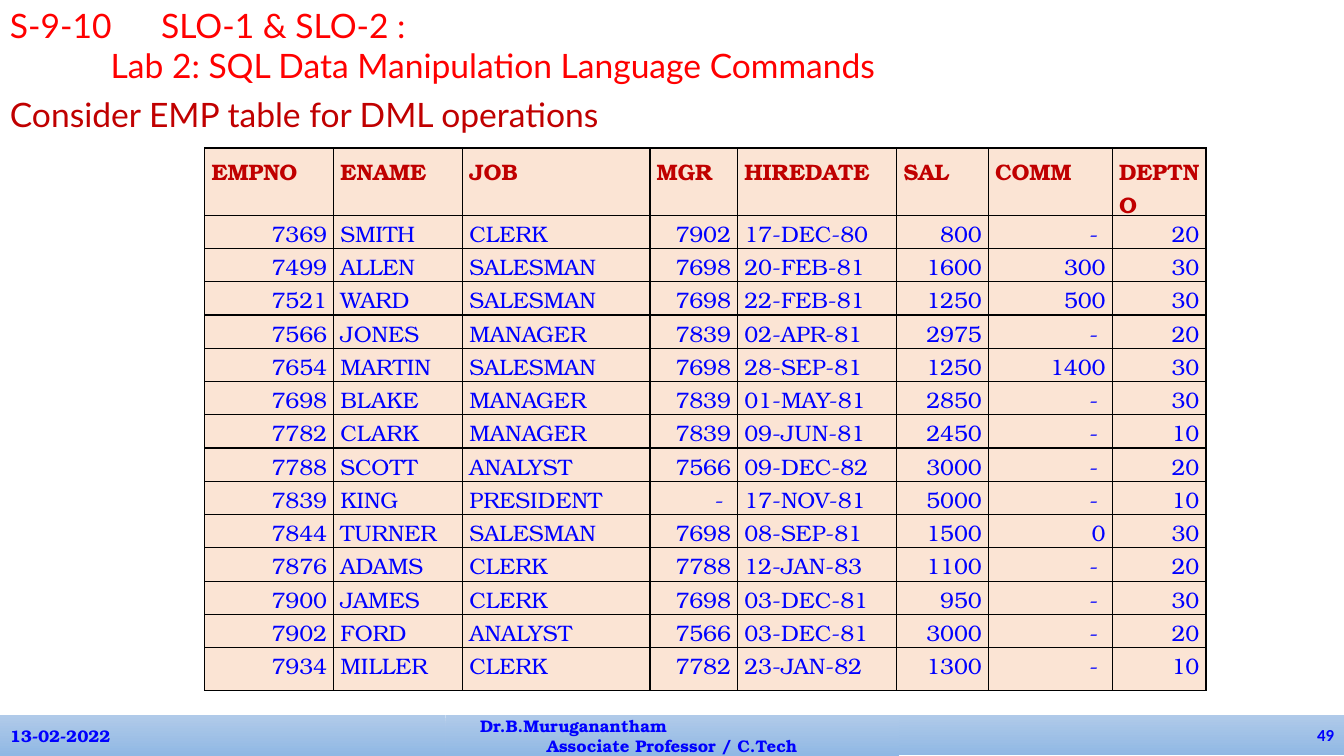
"""Build the lab slide with the EMP table for SQL data manipulation."""
from lxml import etree
from pptx import Presentation
from pptx.dml.color import RGBColor
from pptx.enum.shapes import MSO_SHAPE
from pptx.enum.text import MSO_ANCHOR, PP_ALIGN
from pptx.oxml.ns import qn
from pptx.util import Cm, Pt

LEFT, CENTER, RIGHT = PP_ALIGN.LEFT, PP_ALIGN.CENTER, PP_ALIGN.RIGHT
MIDDLE = MSO_ANCHOR.MIDDLE
RECTANGLE = MSO_SHAPE.RECTANGLE
SERIF, SANS, NUMBER_FONT = "TeX Gyre Bonum", "Lato", "Calibri"
COLORS = {
    "title": "FF0000",
    "heading": "C00000",
    "data": "0000FF",
    "cell": "FBE4D4",
    "border": "000000",
    "bar_top": "B0CAE9",
    "bar_bottom": "90B8E4",
}


def color(name):
    return RGBColor.from_string(COLORS[name])


def write(frame, text, font=SERIF, size=16, ink="data", bold=False, align=LEFT,
          margin=0, hanging=0, spacing=None):
    para = frame.paragraphs[0]
    if para.runs:
        para = frame.add_paragraph()
    para.alignment = align
    para.line_spacing = spacing
    if margin:
        properties = para._p.get_or_add_pPr()
        properties.set("marL", str(Cm(margin)))
        properties.set("indent", str(-Cm(hanging)))
    span = para.add_run()
    span.text = text
    span.font.name = font
    span.font.size = Pt(size)
    span.font.bold = bold
    span.font.color.rgb = color(ink)


deck = Presentation()
deck.slide_width, deck.slide_height = Cm(33.87), Cm(19.05)
page = deck.slides.add_slide(deck.slide_layouts[6])

box = page.shapes.add_textbox(Cm(0), Cm(2.36), Cm(29.21), Cm(1.19))
box.text_frame.word_wrap = True
write(box.text_frame, "Consider EMP table for DML operations", font=SANS, size=24,
      ink="heading", margin=0.64, hanging=0.64, spacing=0.9)

footers = [
    (0, 18.03, 11.23, [("13-02-2022", {})]),
    (11.23, 18.03, 11.43, [
        ("Dr.B.Muruganantham", {"margin": 0.62}),
        ("Associate Professor / C.Tech", {"align": CENTER}),
    ]),
    (22.66, 18.01, 11.21, [("49", {"align": RIGHT, "font": NUMBER_FONT})]),
]
for left, top, width, lines in footers:
    bar = page.shapes.add_shape(RECTANGLE, Cm(left), Cm(top), Cm(width), Cm(1.02))
    bar.shadow.inherit = False
    bar.line.fill.background()
    bar.fill.gradient()
    bar.fill.gradient_angle = 270
    for stop, name in zip(bar.fill.gradient_stops, ("bar_top", "bar_bottom")):
        stop.color.rgb = color(name)
    bar.text_frame.word_wrap = True
    bar.text_frame.vertical_anchor = MIDDLE
    for text, style in lines:
        write(bar.text_frame, text, size=12, bold=True, **style)

box = page.shapes.add_textbox(Cm(0), Cm(0), Cm(30.58), Cm(2.31))
box.text_frame.word_wrap = True
for line in ("S-9-10\tSLO-1 & SLO-2 :",
             "\t\tLab 2: SQL Data Manipulation Language Commands"):
    write(box.text_frame, line, font=SANS, size=24, ink="title")

employees = [
    ("EMPNO", "ENAME", "JOB", "MGR", "HIREDATE", "SAL", "COMM", "DEPTNO"),
    ("7369", "SMITH", "CLERK", "7902", "17-DEC-80", "800", "- ", "20"),
    ("7499", "ALLEN", "SALESMAN", "7698", "20-FEB-81", "1600", "300", "30"),
    ("7521", "WARD", "SALESMAN", "7698", "22-FEB-81", "1250", "500", "30"),
    ("7566", "JONES", "MANAGER", "7839", "02-APR-81", "2975", "- ", "20"),
    ("7654", "MARTIN", "SALESMAN", "7698", "28-SEP-81", "1250", "1400", "30"),
    ("7698", "BLAKE", "MANAGER", "7839", "01-MAY-81", "2850", "- ", "30"),
    ("7782", "CLARK", "MANAGER", "7839", "09-JUN-81", "2450", "- ", "10"),
    ("7788", "SCOTT", "ANALYST", "7566", "09-DEC-82", "3000", "- ", "20"),
    ("7839", "KING", "PRESIDENT", "- ", "17-NOV-81", "5000", "- ", "10"),
    ("7844", "TURNER", "SALESMAN", "7698", "08-SEP-81", "1500", "0", "30"),
    ("7876", "ADAMS", "CLERK", "7788", "12-JAN-83", "1100", "- ", "20"),
    ("7900", "JAMES", "CLERK", "7698", "03-DEC-81", "950", "- ", "30"),
    ("7902", "FORD", "ANALYST", "7566", "03-DEC-81", "3000", "- ", "20"),
    ("7934", "MILLER", "CLERK", "7782", "23-JAN-82", "1300", "- ", "10"),
]
column_widths = (3.25, 3.25, 4.72, 2.21, 4.01, 2.31, 3.12, 2.36)
text_columns = (1, 2, 4)
last_row = len(employees) - 1

table = page.shapes.add_table(len(employees), len(column_widths), Cm(5.16), Cm(3.73),
                              Cm(sum(column_widths)), Cm(11.05)).table
table.first_row = table.horz_banding = False
for column, width in zip(table.columns, column_widths):
    column.width = Cm(width)

for row_index, record in enumerate(employees):
    header = row_index == 0
    table.rows[row_index].height = Cm(1.09 if row_index in (0, last_row) else 0.68)
    for column_index, text in enumerate(record):
        cell = table.cell(row_index, column_index)
        cell.margin_left = cell.margin_right = Cm(0.17)
        cell.margin_top = cell.margin_bottom = Cm(0.17 if header else 0.08)
        cell.fill.solid()
        cell.fill.fore_color.rgb = color("cell")
        write(cell.text_frame, text, bold=header, ink="heading" if header else "data",
              align=LEFT if header or column_index in text_columns else RIGHT)
        properties = cell._tc.get_or_add_tcPr()
        for position, side in enumerate(("a:lnL", "a:lnR", "a:lnT", "a:lnB")):
            border = etree.Element(qn(side), w=str(Pt(1)))
            paint = etree.SubElement(border, qn("a:solidFill"))
            etree.SubElement(paint, qn("a:srgbClr"), val=COLORS["border"])
            properties.insert(position, border)

deck.save("out.pptx")
